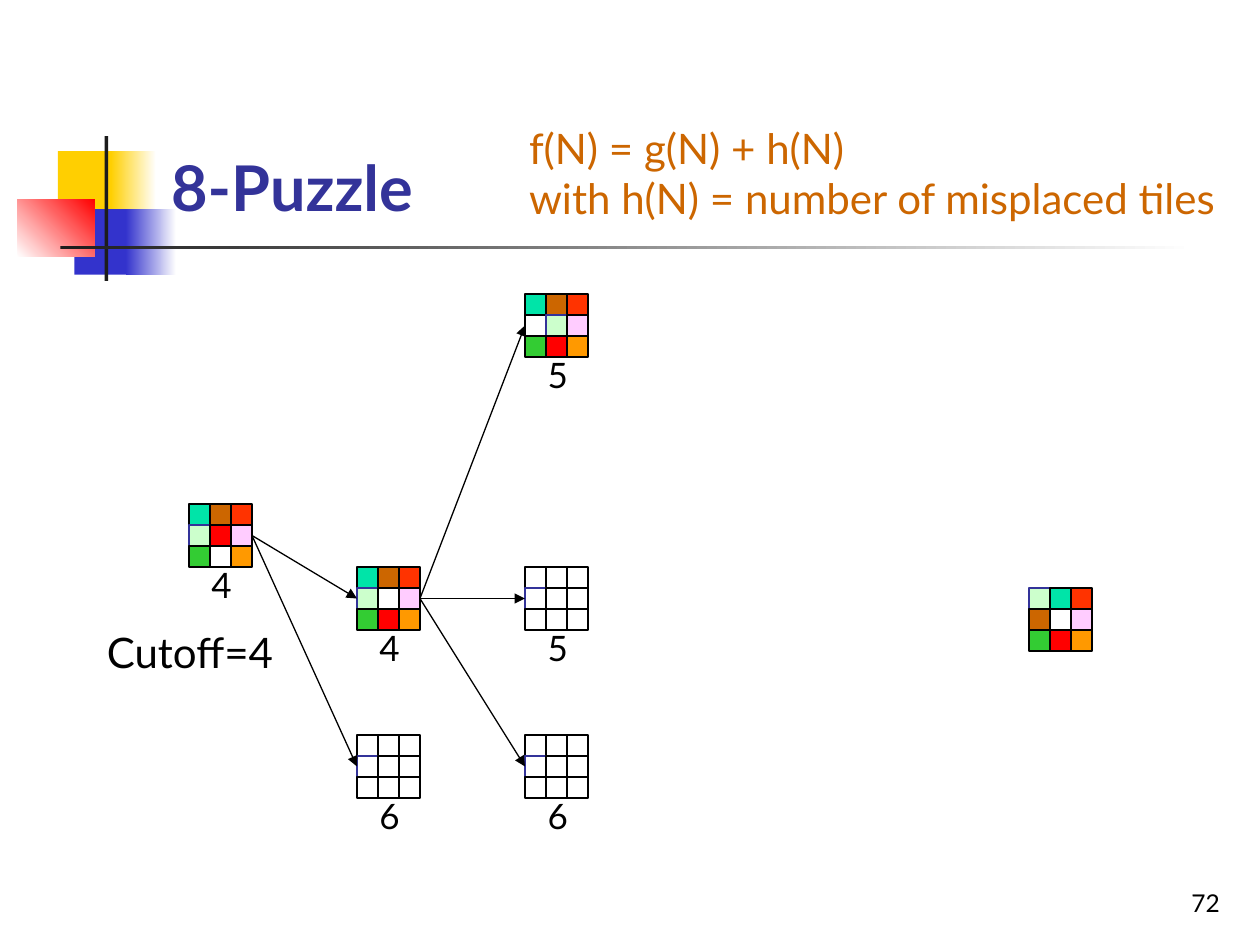
from lxml import etree
from pptx import Presentation
from pptx import util as u
from pptx.dml.color import RGBColor
from pptx.enum import shapes, text
from pptx.oxml import ns

BLACK = RGBColor(0x00, 0x00, 0x00)
WHITE = RGBColor(0xFF, 0xFF, 0xFF)
INK = RGBColor(0x1C, 0x1C, 0x1C)
NAVY = RGBColor(0x33, 0x33, 0x99)
BLUE = RGBColor(0x33, 0x33, 0xCC)
YELLOW = RGBColor(0xFF, 0xCF, 0x01)
RED = RGBColor(0xFF, 0x00, 0x00)
BROWN = RGBColor(0xCC, 0x66, 0x00)
TEAL = RGBColor(0x00, 0xE4, 0xA8)
SCARLET = RGBColor(0xFF, 0x33, 0x00)
PALE = RGBColor(0xCC, 0xFF, 0xCC)
PINK = RGBColor(0xFF, 0xCC, 0xFF)
GREEN = RGBColor(0x33, 0xCC, 0x33)
AMBER = RGBColor(0xFF, 0x99, 0x00)

TILES = {
    "T": (TEAL, BLACK), "B": (BROWN, BLACK), "S": (SCARLET, BLACK),
    "P": (PALE, NAVY), "R": (RED, BLACK), "K": (PINK, BLACK),
    "G": (GREEN, BLACK), "A": (AMBER, BLACK),
    ".": (WHITE, BLACK), "o": (WHITE, NAVY),
}
UNSEEN = "...o....."
CELL = 1 / 6

ROOT, CHILD = (9, 24), (17, 27)
BOARDS = [
    (ROOT, "TBSPRKG.A", "4", None),
    ((49, 28), "PTSB.KGRA", None, None),
    (CHILD, "TBSP.KGRA", "4", ROOT),
    ((17, 35), UNSEEN, "6", ROOT),
    ((25, 35), UNSEEN, "6", CHILD),
    ((25, 27), UNSEEN, "5", CHILD),
    ((25, 14), "TBS.PKGRA", "5", CHILD),
]

ORNAMENT = [
    ((0.46, 1.2, 0.48, 0.52), [YELLOW], 0),
    ((0.88, 1.2, 0.36, 0.52), [YELLOW, WHITE], 0),
    ((0.59, 1.66, 0.46, 0.52), [BLUE], 0),
    ((1, 1.66, 0.4, 0.52), [BLUE, WHITE], 0),
    ((0.14, 1.58, 0.61, 0.46), [WHITE, RED], 45),
    ((0.83, 1.08, 0.03, 1.15), [INK], 0),
    ((0.48, 1.95, 9, 0.03), [INK, WHITE], 0),
]


class Deck:
    """Holds the style and the current slide, and draws each kind of element."""

    def __init__(self, s, font="Lato"):
        self.s = s
        self.font = font

    def rect(self, box, colors, angle=0, edge=None, parent=None):
        sp = (parent or self.s).shapes.add_shape(
            shapes.MSO_SHAPE.RECTANGLE, *map(u.Inches, box))
        sp.shadow.inherit = False
        if len(colors) == 1:
            sp.fill.solid()
            sp.fill.fore_color.rgb = colors[0]
        else:
            sp.fill.gradient()
            sp.fill.gradient_angle = angle
            for stop, color in zip(sp.fill.gradient_stops, colors):
                stop.color.rgb = color
        if edge is None:
            sp.line.fill.background()
        else:
            sp.line.color.rgb = edge
            sp.line.width = u.Pt(0.75)

    def text(self, box, lines, size, color=BLACK, bold=False, wrap=False,
             anchor=text.MSO_ANCHOR.TOP, align=text.PP_ALIGN.LEFT, parent=None):
        sp = (parent or self.s).shapes.add_textbox(*map(u.Inches, box))
        tf = sp.text_frame
        tf.word_wrap = wrap
        tf.vertical_anchor = anchor
        if not wrap:
            tf.auto_size = text.MSO_AUTO_SIZE.SHAPE_TO_FIT_TEXT
        for i, line in enumerate(lines):
            p = tf.add_paragraph() if i else tf.paragraphs[0]
            p.alignment = align
            r = p.add_run()
            r.text = line
            r.font.name = self.font
            r.font.size = u.Pt(size)
            r.font.bold = bold
            r.font.color.rgb = color
        return sp

    def arrow(self, start, end, parent):
        cx = parent.shapes.add_connector(
            shapes.MSO_CONNECTOR.STRAIGHT, *map(u.Inches, start + end))
        cx.line.color.rgb = BLACK
        cx.line.width = u.Pt(0.75)
        ln = cx.line._get_or_add_ln()
        etree.SubElement(ln, ns.qn("a:tailEnd"), type="triangle")
        etree.SubElement(cx._element.spPr, ns.qn("a:effectLst"))

    def board(self, cell, tiles, cost, parent_cell):
        grp = self.s.shapes.add_group_shape()
        col, row = cell
        x, y = col * CELL, row * CELL
        if cost:
            sp = self.text((x + 0.08, y + 0.42, 0.35, 0.43), [cost], 20, parent=grp)
            if tiles == UNSEEN:
                sp.fill.solid()
                sp.fill.fore_color.rgb = WHITE
        for i, tile in enumerate(tiles):
            fill, edge = TILES[tile]
            box = (x + i % 3 * CELL, y + i // 3 * CELL, CELL, CELL)
            self.rect(box, [fill], edge=edge, parent=grp)
        if parent_cell:
            px, py = parent_cell
            start = ((px + 3) * CELL, (py + 1.5) * CELL)
            self.arrow(start, (x, y + 1.5 * CELL), grp)


def main():
    prs = Presentation()
    prs.slide_width, prs.slide_height = u.Inches(10), u.Inches(7.5)
    deck = Deck(prs.slides.add_slide(prs.slide_layouts[6]))
    for box, colors, angle in ORNAMENT:
        deck.rect(box, colors, angle)
    bottom = text.MSO_ANCHOR.BOTTOM
    deck.text((7.7, 6.83, 2.08, 0.5), ["72"], 14, wrap=True, anchor=bottom,
              align=text.PP_ALIGN.RIGHT)
    deck.text((1.26, 0.23, 8.52, 1.6), ["8-Puzzle"], 36, NAVY, bold=True,
              wrap=True, anchor=bottom)
    for board in BOARDS:
        deck.board(*board)
    deck.text((0.75, 4.92, 1.52, 0.5), ["Cutoff=4"], 24)
    deck.text((4.1, 0.92, 5.82, 0.9),
              ["f(N) = g(N) + h(N)", "with h(N) = number of misplaced tiles"],
              24, BROWN)
    prs.save("out.pptx")


if __name__ == "__main__":
    main()
